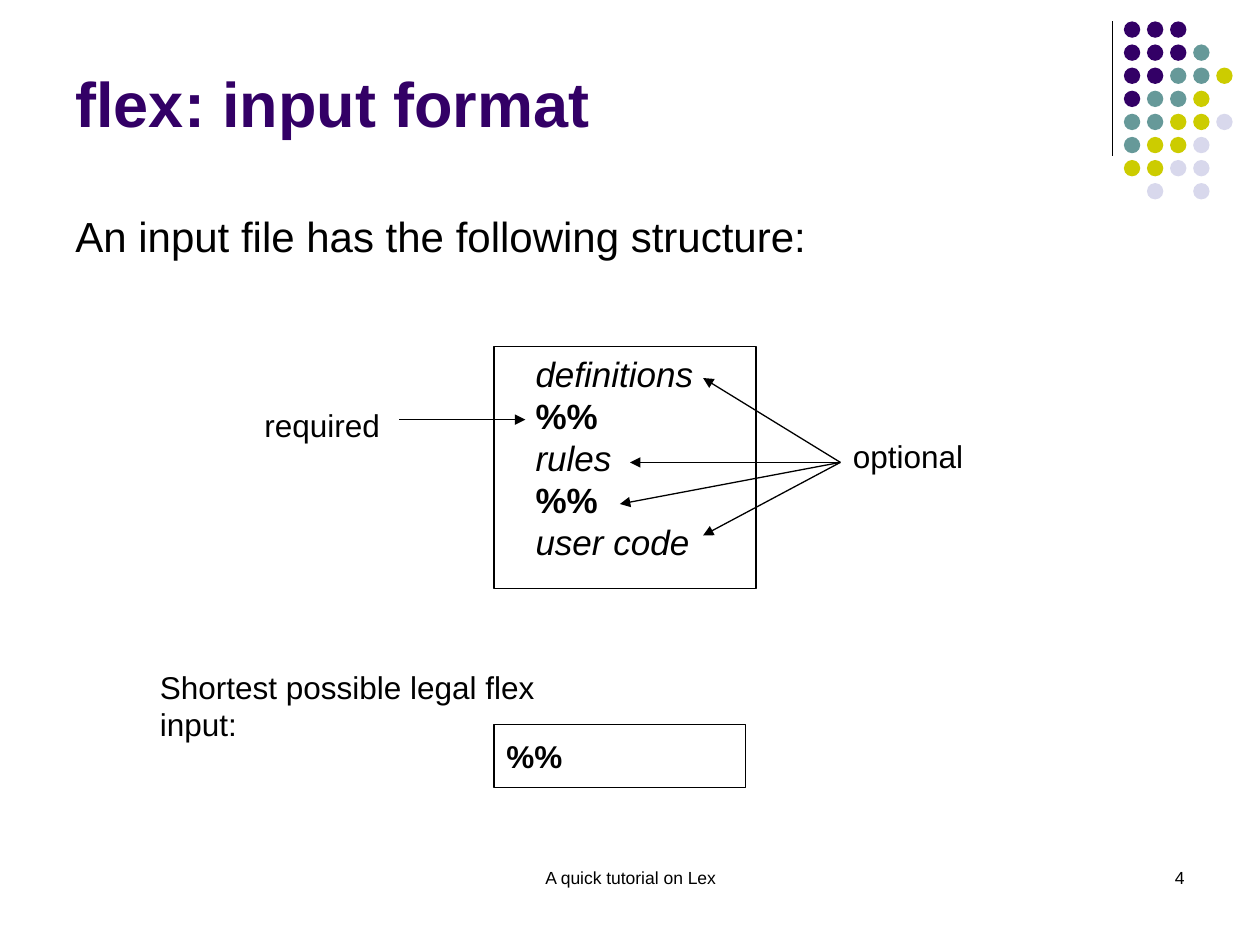
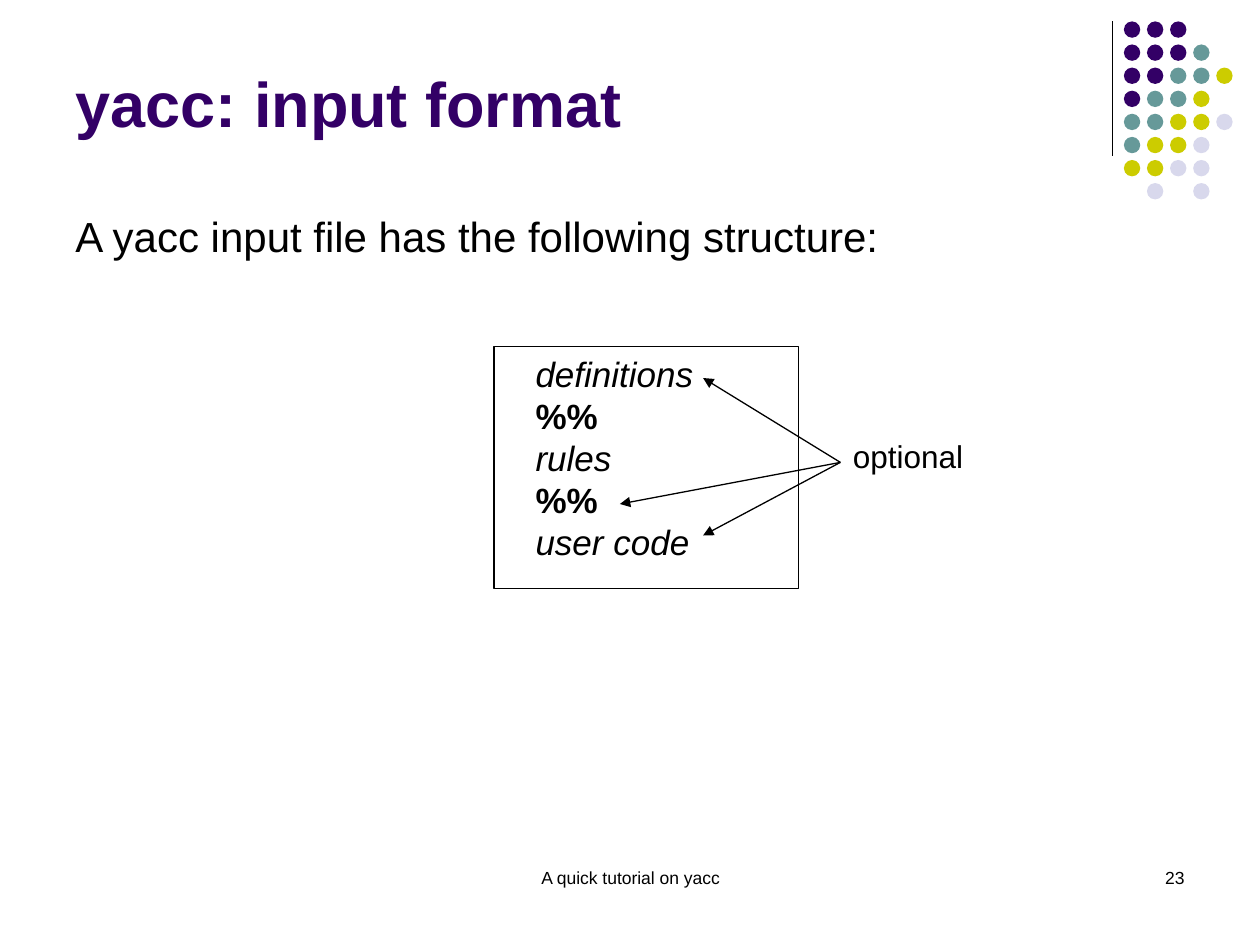
from lxml import etree
from pptx import Presentation
from pptx.dml.color import RGBColor
from pptx.enum.shapes import MSO_CONNECTOR, MSO_SHAPE
from pptx.enum.text import MSO_ANCHOR, MSO_AUTO_SIZE, PP_ALIGN
from pptx.oxml.ns import qn
from pptx.util import Inches, Pt

FONT = "Arial"
BLACK = "000000"
PURPLE = "330066"
DOT_COLORS = {"P": PURPLE, "T": "669999", "Y": "CCCC00", "L": "D8D8EC"}
DOT_ROWS = ["PPP", "PPPT", "PPTTY", "PTTY", "TTYYL", "TYYL", "YYLL", " L L"]
DOT_PITCH = 0.55 / 3
DOT_SIZE = 0.13
SECTIONS = ["definitions", "%%", "rules", "%%", "user code"]
OPTIONAL_START = (6.67, 3.67)
DEFINITIONS_END = (5.58, 3)
RULES_END = (5, 3.67)
SEPARATOR_END = (4.92, 4)
USER_CODE_END = (5.58, 4.25)


def color(value):
    return RGBColor.from_string(value)


def format_paragraph(paragraph, size, bold=False, italic=False, font_color=BLACK):
    for run in paragraph.runs:
        run.font.name = FONT
        run.font.size = Pt(size)
        run.font.bold = bold
        run.font.italic = italic
        run.font.color.rgb = color(font_color)


def add_text(slide, box, text, size, align=PP_ALIGN.LEFT, wrap=True):
    shape = slide.shapes.add_textbox(*map(Inches, box))
    frame = shape.text_frame
    frame.word_wrap = wrap
    frame.text = text
    frame.paragraphs[0].alignment = align
    format_paragraph(frame.paragraphs[0], size)
    return shape


def add_label(slide, box, text):
    shape = add_text(slide, box, text, 18, wrap=False)
    shape.text_frame.auto_size = MSO_AUTO_SIZE.SHAPE_TO_FIT_TEXT


def add_frame(slide, box):
    shape = slide.shapes.add_shape(MSO_SHAPE.RECTANGLE, *map(Inches, box))
    shape.shadow.inherit = False
    shape.fill.background()
    shape.line.color.rgb = color(BLACK)
    shape.line.width = Pt(0.75)
    shape.text_frame.word_wrap = True
    return shape


def add_line(slide, start, end, arrow=True):
    connector = slide.shapes.add_connector(
        MSO_CONNECTOR.STRAIGHT, *map(Inches, (*start, *end)))
    connector.line.color.rgb = color(BLACK)
    connector.line.width = Pt(0.75)
    if arrow:
        etree.SubElement(connector.line._get_or_add_ln(), qn("a:tailEnd"), type="triangle")
    etree.SubElement(connector._element.spPr, qn("a:effectLst"))


def add_dots(slide):
    group = slide.shapes.add_group_shape()
    for row, codes in enumerate(DOT_ROWS):
        for column, code in enumerate(codes):
            if code == " ":
                continue
            left = 8.92 + column * DOT_PITCH
            top = 0.17 + row * DOT_PITCH
            dot = group.shapes.add_shape(
                MSO_SHAPE.OVAL, *map(Inches, (left, top, DOT_SIZE, DOT_SIZE)))
            dot.shadow.inherit = False
            dot.fill.solid()
            dot.fill.fore_color.rgb = color(DOT_COLORS[code])
            dot.line.fill.background()


def set_title(slide, text):
    title = slide.shapes.title
    title.left, title.top, title.width, title.height = map(Inches, (0.5, 0.13, 8.25, 1.03))
    frame = title.text_frame
    frame.text = text
    frame.vertical_anchor = MSO_ANCHOR.BOTTOM
    frame.paragraphs[0].alignment = PP_ALIGN.LEFT
    format_paragraph(frame.paragraphs[0], 36, bold=True, font_color=PURPLE)


def add_format_slide(presentation, title, intro, footer, number):
    slide = presentation.slides.add_slide(presentation.slide_layouts[5])
    add_line(slide, (8.83, 0.17), (8.83, 1.24), arrow=False)
    add_dots(slide)
    add_text(slide, (3.42, 6.83, 3.17, 0.5), footer, 10, PP_ALIGN.CENTER)
    add_text(slide, (7.17, 6.83, 2.33, 0.5), number, 10, PP_ALIGN.RIGHT)
    set_title(slide, title)
    body = add_text(slide, (0.5, 1.58, 9, 0.58), intro, 24)
    body.text_frame.margin_top = Inches(0.09)
    return slide


def add_structure(slide, width, optional_ends):
    frame = add_frame(slide, (3.92, 2.75, width, 1.92)).text_frame
    frame.vertical_anchor = MSO_ANCHOR.TOP
    frame.margin_left = Inches(0.33)
    frame.text = "\n".join(SECTIONS)
    for paragraph in frame.paragraphs:
        separator = paragraph.text == "%%"
        paragraph.alignment = PP_ALIGN.LEFT
        paragraph.line_spacing = Pt(24)
        format_paragraph(paragraph, 20, bold=separator, italic=not separator)
    add_label(slide, (6.67, 3.42, 1.08, 0.4), "optional")
    for end in optional_ends:
        add_line(slide, OPTIONAL_START, end)


def add_shortest_input(slide):
    add_label(slide, (1.17, 5.25, 3.85, 0.4), "Shortest possible legal flex input:")
    frame = add_frame(slide, (3.92, 5.75, 2, 0.5)).text_frame
    frame.vertical_anchor = MSO_ANCHOR.MIDDLE
    frame.text = "%%"
    frame.paragraphs[0].alignment = PP_ALIGN.LEFT
    format_paragraph(frame.paragraphs[0], 18, bold=True)


def main():
    presentation = Presentation()
    presentation.slide_width = Inches(10)
    presentation.slide_height = Inches(7.5)

    flex = add_format_slide(presentation, "flex: input format",
                            "An input file has the following structure:",
                            "A quick tutorial on Lex", "4")
    add_structure(flex, 2.08, [DEFINITIONS_END, RULES_END, SEPARATOR_END, USER_CODE_END])
    add_label(flex, (2, 3.17, 1.12, 0.4), "required")
    add_line(flex, (3.17, 3.33), (4.17, 3.33))
    add_shortest_input(flex)

    yacc = add_format_slide(presentation, "yacc: input format",
                            "A yacc input file has the following structure:",
                            "A quick tutorial on yacc", "23")
    add_structure(yacc, 2.42, [DEFINITIONS_END, SEPARATOR_END, USER_CODE_END])

    presentation.save("out.pptx")


main()
